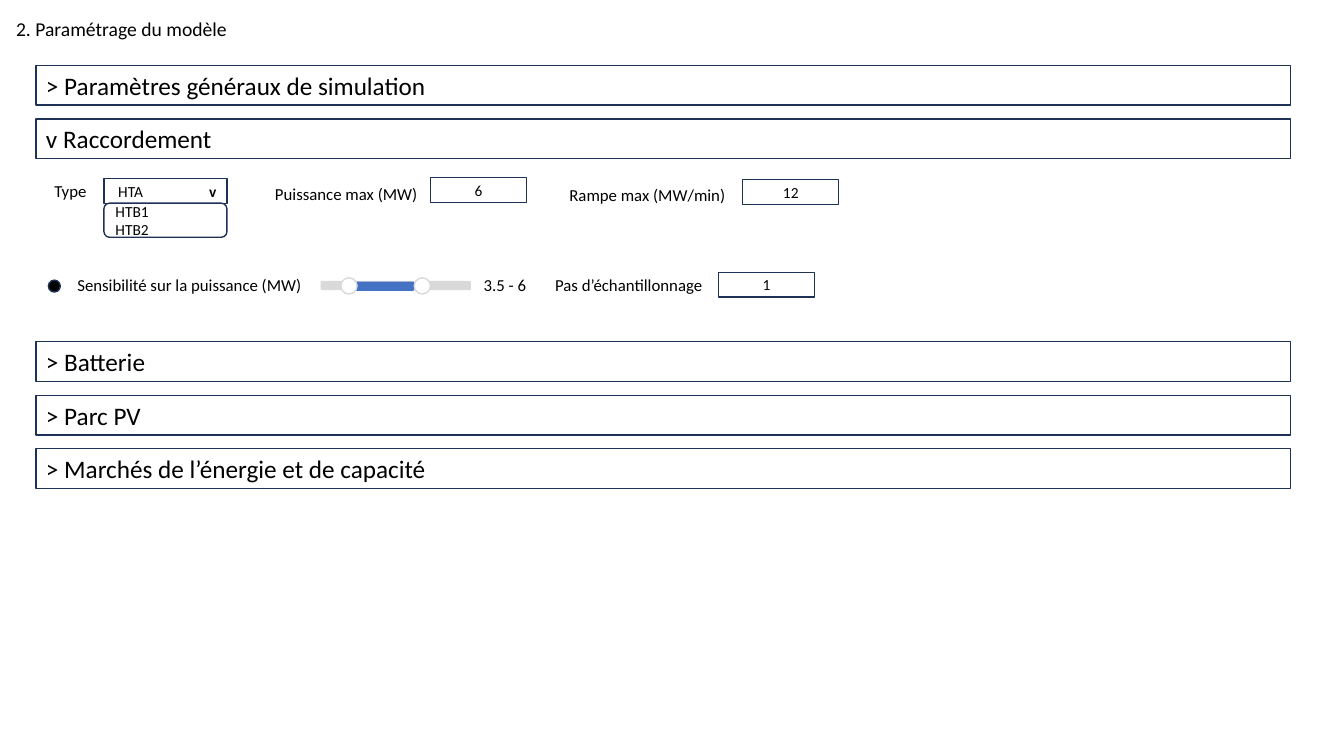
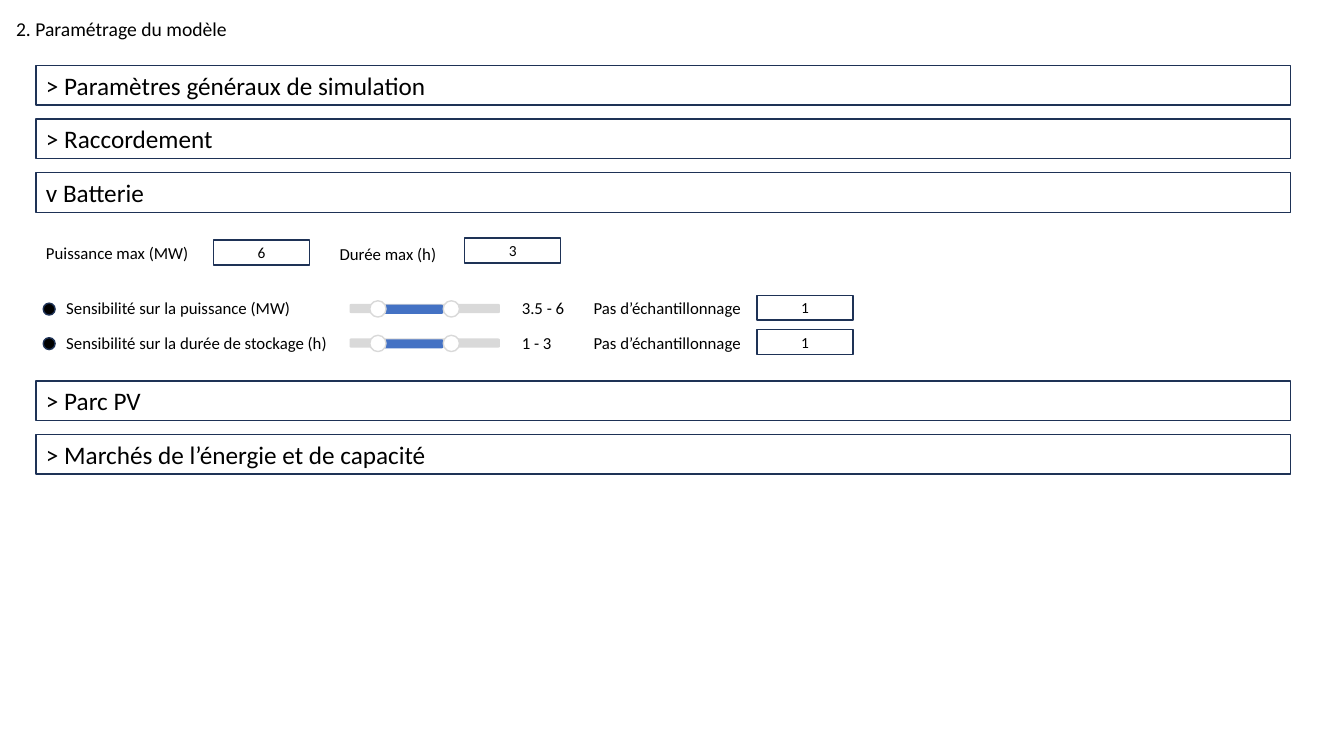
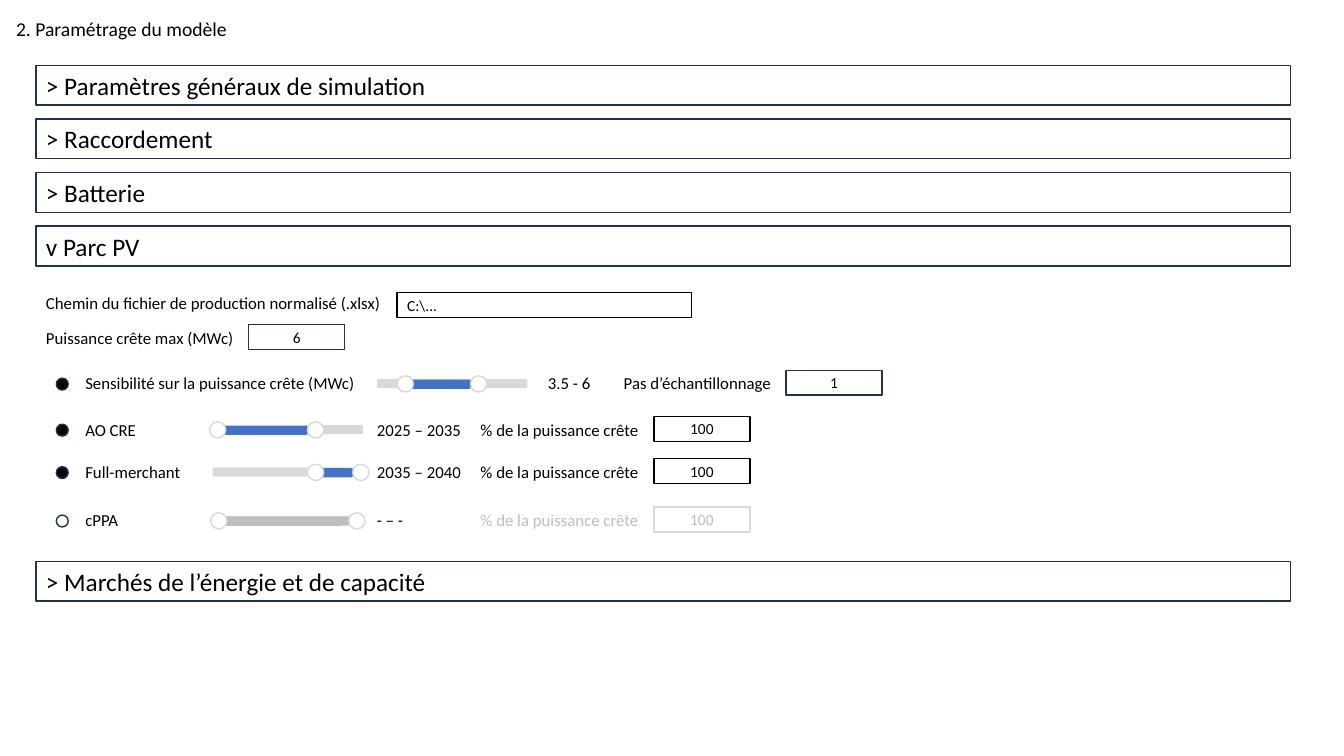
from lxml.etree import SubElement
from pptx import Presentation
from pptx.dml.color import RGBColor
from pptx.enum.shapes import MSO_SHAPE
from pptx.enum.text import MSO_ANCHOR, MSO_AUTO_SIZE, PP_ALIGN
from pptx.oxml.ns import qn
from pptx.util import Cm, Pt

FONT = "Calibri"
BLACK = RGBColor(0x00, 0x00, 0x00)
WHITE = RGBColor(0xFF, 0xFF, 0xFF)
NAVY = RGBColor(0x1E, 0x32, 0x56)
BLUE = RGBColor(0x44, 0x72, 0xC4)
PALE = RGBColor(0xD9, 0xD9, 0xD9)
GREY = RGBColor(0xBF, 0xBF, 0xBF)

TITLE = "2. Paramétrage du modèle"
PARTS = ["Paramètres généraux de simulation", "Raccordement", "Batterie",
         "Parc PV", "Marchés de l’énergie et de capacité"]
STEP = "Pas d’échantillonnage"
SHARE = "% de la puissance crête"
TOP, PITCH = 1.65, 1.35
KNOB, TRACK = 0.41, 3.79


def write(shape, text, size=12, color=BLACK, align=PP_ALIGN.LEFT,
          anchor=MSO_ANCHOR.TOP, tail=""):
    """Fill a shape with formatted lines, with an optional bold tail."""
    frame = shape.text_frame
    frame.word_wrap = True
    frame.vertical_anchor = anchor
    for i, line in enumerate(text.split("\n")):
        para = frame.add_paragraph() if i else frame.paragraphs[0]
        para.alignment = align
        for words, bold in ((line, False), (tail, True)):
            if words:
                run = para.add_run()
                run.text = words
                font = run.font
                font.name, font.size, font.bold = FONT, Pt(size), bold
                font.color.rgb = color


def draw(slide, kind, x, y, w, h, fill=None, line=None):
    """Add a flat preset shape."""
    shape = slide.shapes.add_shape(kind, Cm(x), Cm(y), Cm(w), Cm(h))
    shape.shadow.inherit = False
    if fill is None:
        shape.fill.background()
    else:
        shape.fill.solid()
        shape.fill.fore_color.rgb = fill
    if line is None:
        shape.line.fill.background()
    else:
        shape.line.color.rgb = line
        shape.line.width = Pt(1)
    return shape


def label(slide, text, x, y, w, color=BLACK):
    """Add a caption."""
    box = slide.shapes.add_textbox(Cm(x), Cm(y), Cm(w), Cm(0.76))
    write(box, text, color=color)
    box.text_frame.auto_size = MSO_AUTO_SIZE.SHAPE_TO_FIT_TEXT


def field(slide, text, x, y, w=2.42, line=NAVY, color=BLACK,
          align=PP_ALIGN.CENTER):
    """Add an input field."""
    box = draw(slide, MSO_SHAPE.RECTANGLE, x, y, w, 0.63, line=line)
    write(box, text, 11, color, align, MSO_ANCHOR.MIDDLE)


def menu(slide, x, y, w, first, others):
    """Add an open drop-down list."""
    box = draw(slide, MSO_SHAPE.RECTANGLE, x, y, w, 0.63, line=NAVY)
    write(box, first + "\t", 11, anchor=MSO_ANCHOR.MIDDLE, tail="v")
    box.text_frame.margin_left = Cm(0.36)
    props = box.text_frame.paragraphs[0]._p.get_or_add_pPr()
    stops = SubElement(props, qn("a:tabLst"))
    SubElement(stops, qn("a:tab"), pos=str(Cm(2.29)), algn="l")
    rest = draw(slide, MSO_SHAPE.ROUNDED_RECTANGLE, x, y + 0.62, w, 0.86,
                line=NAVY)
    write(rest, "\n".join(others), 11, anchor=MSO_ANCHOR.MIDDLE)


def slider(slide, x, y, low, high, fill=BLUE):
    """Add a range slider with knobs at two offsets."""
    bar = MSO_SHAPE.ROUNDED_RECTANGLE
    start = low + 0.36
    draw(slide, bar, x, y, TRACK, 0.23, PALE)
    draw(slide, bar, x + start, y + 0.02, high - start, 0.23, fill)
    for knob in (low, high):
        draw(slide, MSO_SHAPE.OVAL, x + knob, y - 0.08, KNOB, KNOB,
             WHITE, PALE)


def row(slide, y, text, span, cols, sizes, knobs=(0.51, 2.36), note=STEP,
        value="1", line=NAVY, live=True):
    """Add a switch, its slider and its field on one row."""
    dot, name, gauge, scope, hint, entry = cols
    color = BLACK if live else GREY
    draw(slide, MSO_SHAPE.OVAL, dot, y + 0.25, 0.3, 0.3,
         BLACK if live else WHITE, NAVY)
    label(slide, text, name, y, sizes[0])
    slider(slide, gauge, y + 0.27, *knobs, fill=BLUE if live else GREY)
    label(slide, span, scope, y, sizes[1])
    label(slide, note, hint, y, sizes[2], color)
    field(slide, value, entry, y + 0.05, line=line, color=color)


def page(deck, active, resume):
    """Add a slide with its title and section bars, one of them open."""
    slide = deck.slides.add_slide(deck.slide_layouts[5])
    title = slide.shapes.title
    title.left, title.top = Cm(0.15), Cm(0.3)
    title.width, title.height = Cm(12), Cm(0.86)
    write(title, TITLE, 14)
    title.text_frame.auto_size = MSO_AUTO_SIZE.NONE
    for i, part in enumerate(PARTS):
        y = TOP + i * PITCH if i <= active else (
            resume + (i - active - 1) * PITCH)
        bar = draw(slide, MSO_SHAPE.RECTANGLE, 0.91, y, 31.62, 1, line=NAVY)
        mark = "v" if i == active else ">"
        write(bar, f"{mark} {part}", 18, anchor=MSO_ANCHOR.MIDDLE)
    return slide


def grid(deck):
    """Build the connection slide."""
    slide = page(deck, 1, 8.61)
    label(slide, "Type", 1.12, 4.42, 4.47)
    menu(slide, 2.62, 4.5, 3.1, "HTA", ["HTB1", "HTB2"])
    label(slide, "Puissance max (MW)", 6.68, 4.5, 6.43)
    field(slide, "6", 10.85, 4.47)
    label(slide, "Rampe max (MW/min)", 14.1, 4.53, 4.45)
    field(slide, "12", 18.72, 4.53)
    row(slide, 6.81, "Sensibilité sur la puissance (MW)", "3.5 - 6",
        (1.22, 1.7, 8.08, 11.94, 13.74, 18.11), (6.22, 1.9, 4.45))


def store(deck):
    """Build the battery slide."""
    slide = page(deck, 2, 9.6)
    label(slide, "Puissance max (MW)", 0.91, 6, 6.43)
    field(slide, "6", 5.38, 6.05)
    label(slide, "Durée max (h)", 8.31, 6.02, 4.45)
    field(slide, "3", 11.71, 6)
    cols = (1.09, 1.42, 8.81, 12.9, 14.71, 19.08)
    for y, text, span in (
            (7.39, "Sensibilité sur la puissance (MW)", "3.5 - 6"),
            (8.26, "Sensibilité sur la durée de stockage (h)", "1 - 3")):
        row(slide, y, text, span, cols, (7.14, 1.9, 4.45))


def solar(deck):
    """Build the solar park slide."""
    slide = page(deck, 3, 14.15)
    label(slide, "Chemin du fichier de production normalisé (.xlsx)",
          0.91, 7.26, 11.25)
    field(slide, "C:\\...", 10.01, 7.37, 7.42, BLACK, align=PP_ALIGN.LEFT)
    label(slide, "Puissance crête max (MWc)", 0.91, 8.13, 6.43)
    field(slide, "6", 6.27, 8.18)
    row(slide, 9.28, "Sensibilité sur la puissance crête (MWc)", "3.5 - 6",
        (1.42, 1.9, 9.5, 13.56, 15.47, 19.81), (8.79, 1.9, 4.45))
    cols = (1.42, 1.9, 5.36, 9.25, 11.86, 16.48)
    for y, text, span, knobs, line, live in (
            (10.44, "AO CRE", "2025 – 2035", (-0.08, 2.39), BLACK, True),
            (11.51, "Full-merchant", "2035 – 2040", (2.39, 3.53), BLACK,
             True),
            (12.73, "cPPA", "- – -", (-0.05, 3.43), PALE, False)):
        row(slide, y, text, span, cols, (6.43, 4.34, 4.62), knobs, SHARE,
            "100", line, live)


def main():
    """Build and save the deck."""
    deck = Presentation()
    deck.slide_width, deck.slide_height = Cm(33.87), Cm(19.05)
    for build in (grid, store, solar):
        build(deck)
    deck.save("out.pptx")


main()
